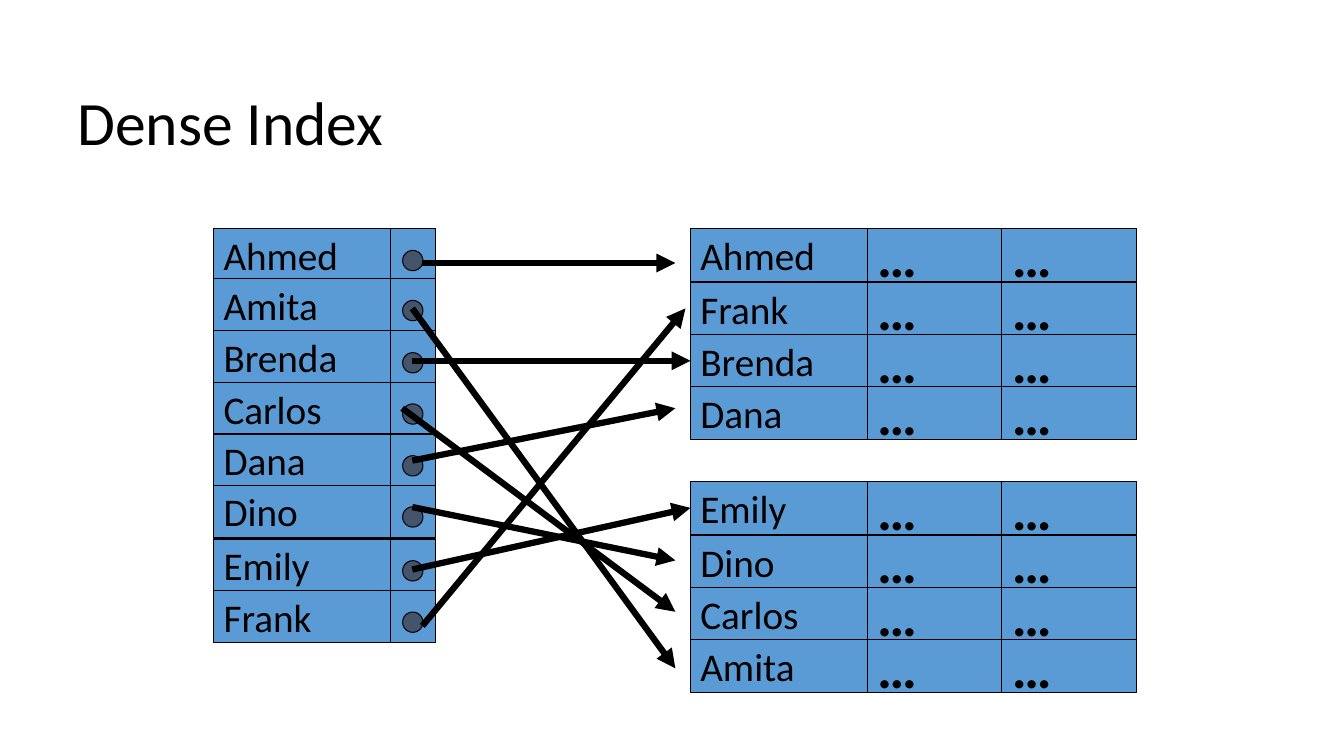
from dataclasses import dataclass

from lxml import etree
from pptx import Presentation
from pptx.dml.color import RGBColor
from pptx.enum import shapes, text
from pptx.oxml import ns
from pptx.util import Pt


@dataclass(frozen=True)
class Theme:
    font: str = "Calibri"
    ink: RGBColor = RGBColor(0, 0, 0)
    cell: RGBColor = RGBColor(0x5B, 0x9B, 0xD5)
    dot: RGBColor = RGBColor(0x44, 0x54, 0x6A)
    title_size: int = 44
    name_size: int = 28
    dots_size: int = 40
    border: float = 0.75
    arrow: float = 4.5


class Diagram:
    def __init__(self, slide, theme):
        self.slide, self.theme = slide, theme

    def style_text(self, p, size, bold=False):
        p.font.name, p.font.size, p.font.bold = self.theme.font, Pt(size), bold
        p.font.color.rgb = self.theme.ink

    def title(self, words, x, y, w, h):
        sp = self.slide.shapes.title
        sp.left, sp.top, sp.width, sp.height = Pt(x), Pt(y), Pt(w), Pt(h)
        tf = sp.text_frame
        tf.text = words
        tf.auto_size = text.MSO_AUTO_SIZE.NONE
        tf.vertical_anchor = text.MSO_ANCHOR.MIDDLE
        p = tf.paragraphs[0]
        p.alignment, p.line_spacing = text.PP_ALIGN.LEFT, 0.9
        self.style_text(p, self.theme.title_size)

    def shape(self, kind, fill, x, y, w, h):
        sp = self.slide.shapes.add_shape(kind, Pt(x), Pt(y), Pt(w), Pt(h))
        sp.shadow.inherit = False
        sp.fill.solid()
        sp.fill.fore_color.rgb = fill
        sp.line.color.rgb = self.theme.ink
        sp.line.width = Pt(self.theme.border)
        return sp

    def cell(self, x, y, w, h, words="", size=0, bold=False):
        sp = self.shape(shapes.MSO_SHAPE.RECTANGLE, self.theme.cell, x, y, w, h)
        if words:
            tf = sp.text_frame
            tf.text = words
            tf.word_wrap = False
            tf.vertical_anchor = text.MSO_ANCHOR.MIDDLE
            p = tf.paragraphs[0]
            p.alignment = text.PP_ALIGN.LEFT
            self.style_text(p, size, bold)
        return sp

    def dot(self, x, y, size):
        self.shape(shapes.MSO_SHAPE.OVAL, self.theme.dot, x, y, size, size)

    def arrow(self, start, end, target=None):
        points = [Pt(v) for v in (*start, *end)]
        line = self.slide.shapes.add_connector(shapes.MSO_CONNECTOR.STRAIGHT, *points)
        if target is not None:
            line.end_connect(target, 1)
        line.line.color.rgb = self.theme.ink
        line.line.width = Pt(self.theme.arrow)
        etree.SubElement(line.line._get_or_add_ln(), ns.qn("a:tailEnd"), type="triangle")
        etree.SubElement(line._element.spPr, ns.qn("a:effectLst"))


ROW_H, NAME_W, FIELD_W, POINTER_W = 37.4, 126.3, 96.2, 32.2
INDEX_X, RECORD_X, TOP = 152.6, 493.2, 163.4
DOT, DOT_DX, DOT_DY = 14.5, 8.7, 15.5
BLOCK_STEP = 180.7
RECORD_OFFSETS = (0, 38.3, 75.6, 113)
BLOCKS = (("Ahmed", "Frank", "Brenda", "Dana"), ("Emily", "Dino", "Carlos", "Amita"))
INDEX_TOPS = {"Ahmed": TOP, "Amita": 199.1, "Brenda": 236.4, "Carlos": 273,
              "Dana": 310, "Dino": 346.5, "Emily": 385, "Frank": 421.7}

# Arrow start and end; the ones marked True join their record
ARROWS = {
    "Ahmed": ((301.7, 187.9), (482.4, 187.9), False),
    "Amita": ((294.5, 220.3), (482.4, 477.4), False),
    "Brenda": ((294.5, 257.7), (RECORD_X, 257.7), True),
    "Carlos": ((287.3, 291.6), (482.4, 437), False),
    "Dana": ((294.5, 329), (482.4, 291.6), False),
    "Dino": ((294.5, 362.2), (482.4, 400.3), False),
    "Emily": ((294.5, 406.8), (RECORD_X, 362.8), True),
    "Frank": ((301.7, 447.1), (489.6, 220.3), False),
}


def main():
    prs = Presentation()
    prs.slide_width, prs.slide_height = Pt(960), Pt(540)
    theme = Theme()
    d = Diagram(prs.slides.add_slide(prs.slide_layouts[5]), theme)
    d.title("Dense Index", 48, 36, 864, 108)

    # Data blocks
    records = {}
    for b, names in enumerate(BLOCKS):
        for name, offset in zip(names, RECORD_OFFSETS):
            y = TOP + b * BLOCK_STEP + offset
            records[name] = d.cell(RECORD_X, y, NAME_W, ROW_H, name, theme.name_size)
            for column in range(2):
                x = RECORD_X + NAME_W + column * FIELD_W
                d.cell(x, y, FIELD_W, ROW_H, "…", theme.dots_size, bold=True)

    # Index entries with their pointers
    pointer_x = INDEX_X + NAME_W
    for name, y in INDEX_TOPS.items():
        d.cell(INDEX_X, y, NAME_W, ROW_H, name, theme.name_size)
        d.cell(pointer_x, y, POINTER_W, ROW_H)
        d.dot(pointer_x + DOT_DX, y + DOT_DY, DOT)

    # Arrows from index to records
    for name, (start, end, joined) in ARROWS.items():
        d.arrow(start, end, records[name] if joined else None)

    prs.save("out.pptx")


if __name__ == "__main__":
    main()
